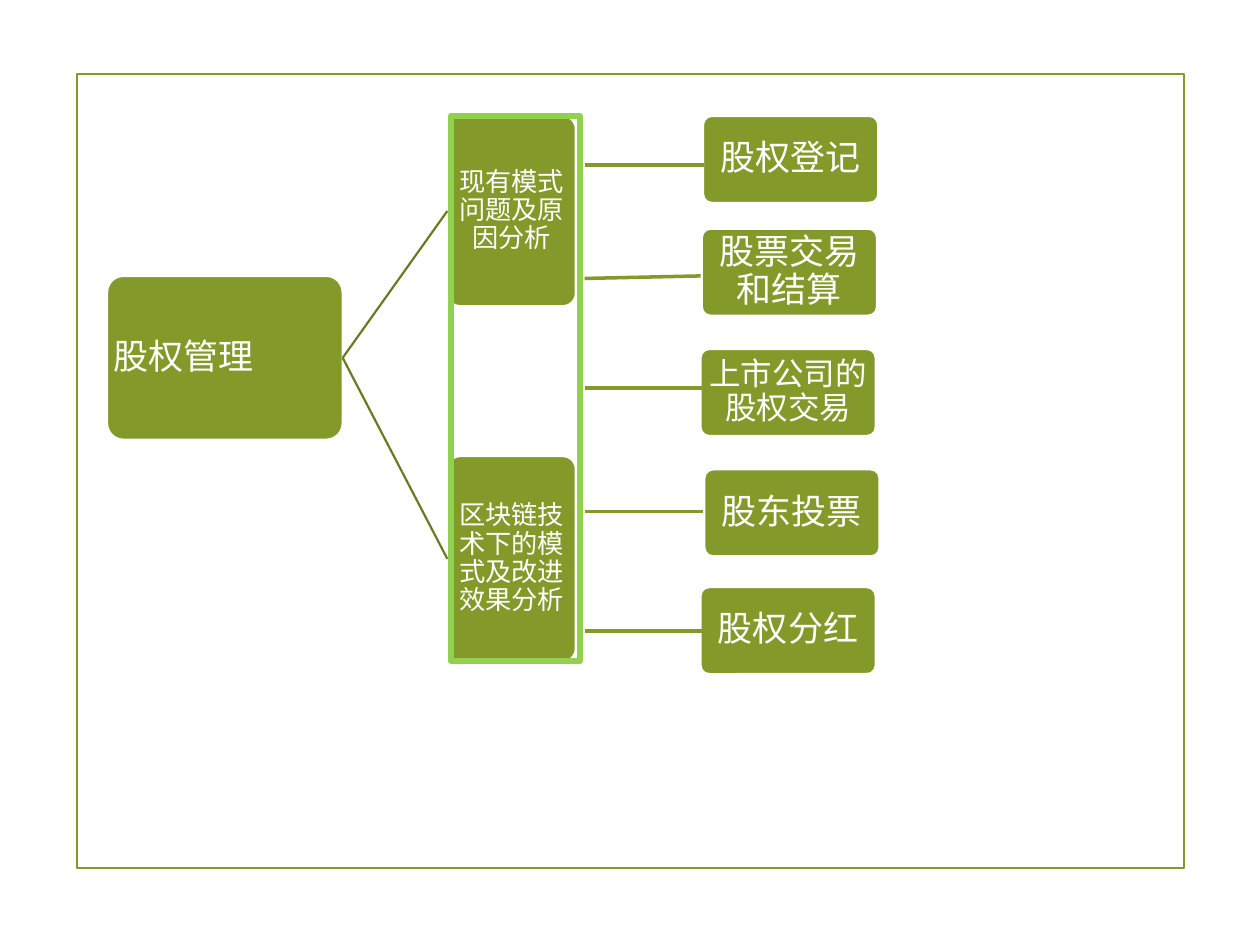
from lxml import etree
from pptx import Presentation
from pptx.dml.color import RGBColor
from pptx.enum.shapes import MSO_CONNECTOR, MSO_SHAPE
from pptx.enum.text import MSO_ANCHOR, PP_ALIGN
from pptx.oxml.ns import qn
from pptx.util import Inches, Pt

RECT, ROUND = MSO_SHAPE.RECTANGLE, MSO_SHAPE.ROUNDED_RECTANGLE
LINE = MSO_CONNECTOR.STRAIGHT
LEFT, MID = PP_ALIGN.LEFT, PP_ALIGN.CENTER
CENTER = MSO_ANCHOR.MIDDLE
COLS, ROWS = 100, 75
CELL = Inches(0.1)
FONT = "Times New Roman"
COLOR = {"olive": "83992A", "dark": "697B22", "lime": "92D050", "white": "FFFFFF"}


def unit(n):
    """Turn grid cells into a length."""
    return round(n * CELL)


def paint(name):
    """Look up a colour by name."""
    return RGBColor.from_string(COLOR[name])


def outline(item, name, width):
    """Set the line of a shape or connector."""
    item.line.color.rgb = paint(name)
    item.line.width = Pt(width)


def frame(slide, box, name, width):
    """Draw an unfilled rectangle."""
    shape = slide.shapes.add_shape(RECT, *map(unit, box))
    shape.shadow.inherit = False
    shape.fill.background()
    outline(shape, name, width)


def node(slide, box, text, size, align=MID):
    """Draw one rounded node with its label."""
    shape = slide.shapes.add_shape(ROUND, *map(unit, box))
    shape.adjustments[0] = 0.1
    shape.shadow.inherit = False
    shape.fill.solid()
    shape.fill.fore_color.rgb = paint("olive")
    outline(shape, "white", 1.25)
    body = shape.text_frame
    body.word_wrap = True
    body.vertical_anchor = CENTER
    body.margin_left = body.margin_right = unit(0.1)
    body.margin_top = body.margin_bottom = unit(0.1)
    para = body.paragraphs[0]
    para.alignment = align
    para.line_spacing = 0.9
    run = para.add_run()
    run.text = text
    run.font.name = FONT
    run.font.size = Pt(size)
    run.font.color.rgb = paint("white")
    return shape


def link(slide, ends, name, width):
    """Draw a straight line between two grid points."""
    line = slide.shapes.add_connector(LINE, *map(unit, ends))
    outline(line, name, width)
    etree.SubElement(line._element.spPr, qn("a:effectLst"))
    return line


def tree(slide, box):
    """Place the root and its two joined branches."""
    x, y, wide, high = box
    root = node(slide, (x, y + 12.7, 18.7, 13), "股权管理", 20, LEFT)
    parts = [("现有模式问题及原因分析", 15.1), ("区块链技术下的模式及改进效果分析", 16.3)]
    tops = [y, y + high - parts[1][1]]
    for (text, tall), top in zip(parts, tops):
        part = node(slide, (x + wide - 10.2, top, 10.2, tall), text, 15)
        line = link(slide, (0, 0, 1, 1), "dark", 1.25)
        line.begin_connect(root, 3)
        line.end_connect(part, 1)


def leaves(slide, box):
    """Place the column of five topics."""
    x, y, wide, high = box
    tall = 6.9
    step = (high - tall) / 4
    topics = [
        ("股权登记", 20, 0.2, 0),
        ("股票交易和结算", 20, 0.1, -0.4),
        ("上市公司的股权交易", 18, 0, -0.2),
        ("股东投票", 20, 0.3, 0),
        ("股权分红", 20, 0, 0),
    ]
    for row, (text, size, dx, dy) in enumerate(topics):
        node(slide, (x + dx, y + row * step + dy, wide, tall), text, size)


def rails(slide, box):
    """Place the lines from the lime frame to the topics."""
    x, y, wide, high = box
    rows = [(0, 0, 9.5), (9, 8.8, 9.2), (17.7, 17.7, 9.4), (27.5, 27.5, 9.4), (high, high, 9.4)]
    for start, end, run in rows:
        link(slide, (x, y + start, x + min(run, wide), y + end), "olive", 2)


def main():
    """Build and save the slide."""
    deck = Presentation()
    deck.slide_width, deck.slide_height = unit(COLS), unit(ROWS)
    slide = deck.slides.add_slide(deck.slide_layouts[6])
    frame(slide, (6.1, 5.9, 87.9, 63), "olive", 1.25)
    tree(slide, (8.5, 9.2, 37.2, 43.3))
    leaves(slide, (55.6, 9.2, 13.9, 44.3))
    rails(slide, (46.4, 13.1, 9.5, 37))
    frame(slide, (35.8, 9.2, 10.2, 43.3), "lime", 3.5)
    deck.save("out.pptx")


if __name__ == "__main__":
    main()
